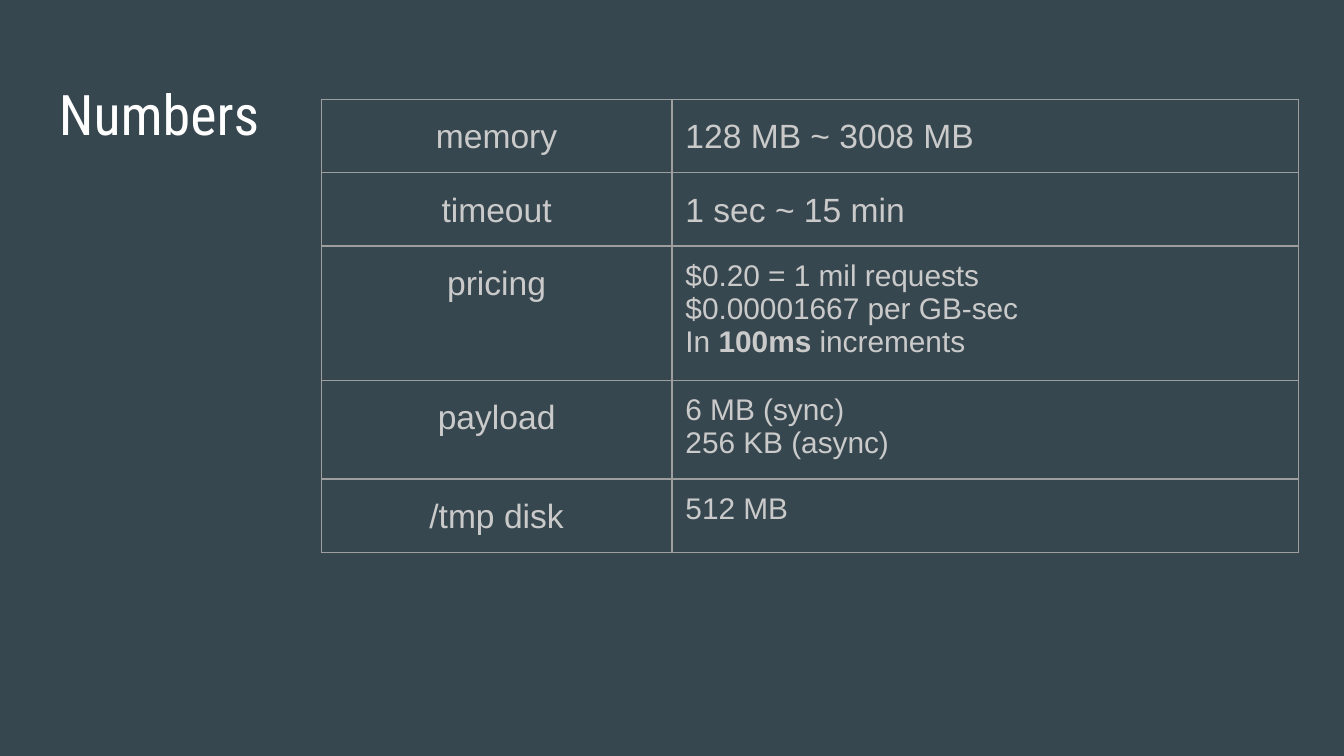
"""Builds a slide with a table of service limits and prices."""
import copy

import pptx
import pptx.dml.color
import pptx.enum.text
import pptx.oxml.ns
import pptx.util
from lxml import etree

Inches = pptx.util.Inches
Pt = pptx.util.Pt
RGBColor = pptx.dml.color.RGBColor
PP_ALIGN = pptx.enum.text.PP_ALIGN
qn = pptx.oxml.ns.qn

BACKGROUND = RGBColor(0x37, 0x47, 0x4F)
WHITE = RGBColor(0xFF, 0xFF, 0xFF)
TEXT = RGBColor(0xCA, 0xCA, 0xCA)
BORDER = RGBColor(0x9E, 0x9E, 0x9E)

COLUMN_WIDTHS = (2.61, 4.66)
ROW_HEIGHT = 0.42
LIMITS = [
    ("memory", "128 MB ~ 3008 MB", 18),
    ("timeout", "1 sec ~ 15 min", 18),
    ("pricing", "$0.20 = 1 mil requests\n$0.00001667 per GB-sec\n"
                "In *100ms* increments", 16),
    ("payload", "6 MB (sync)\n256 KB (async)", 16),
    ("/tmp disk", "512 MB", 16),
]


def write_text(tf, text, size=18, font="Arial", color=TEXT,
               align=PP_ALIGN.LEFT, spacing=None, after=0):
    """Fills a text frame; asterisks enclose bold words."""
    p = tf.paragraphs[0]
    p.alignment = align
    p.line_spacing = spacing
    p.space_after = Pt(after)
    for i, line in enumerate(text.split("\n")):
        if i:
            p.add_line_break()
            p._p.findall(qn("a:br"))[-1].append(copy.deepcopy(r._r.rPr))
        for j, part in enumerate(line.split("*")):
            r = p.add_run()
            r.text = part
            r.font.size = Pt(size)
            r.font.name = font
            r.font.color.rgb = color
            r.font.bold = j % 2 == 1


class SlideBuilder:
    """Holds the style and the current slide."""

    margin = Inches(0.1)
    border_width = Pt(0.75)

    def __init__(self, prs):
        self.s = prs.slides.add_slide(prs.slide_layouts[6])
        fill = self.s.background.fill
        fill.solid()
        fill.fore_color.rgb = BACKGROUND

    def set_margins(self, target):
        target.margin_left = target.margin_right = self.margin
        target.margin_top = target.margin_bottom = self.margin

    def add_title(self, text, left, top, width, height):
        sp = self.s.shapes.add_textbox(
            Inches(left), Inches(top), Inches(width), Inches(height))
        tf = sp.text_frame
        tf.word_wrap = True
        self.set_margins(tf)
        write_text(tf, text, size=30, font="Roboto Condensed", color=WHITE)

    def style_cell(self, cell):
        self.set_margins(cell)
        tc_pr = cell._tc.get_or_add_tcPr()
        for side in ("lnL", "lnR", "lnT", "lnB"):
            ln = etree.SubElement(tc_pr, qn(f"a:{side}"), w=str(self.border_width))
            fill = etree.SubElement(ln, qn("a:solidFill"))
            etree.SubElement(fill, qn("a:srgbClr"), val=str(BORDER))
        cell.fill.background()

    def add_limits_table(self, limits, left, top, height):
        frame = self.s.shapes.add_table(
            len(limits), len(COLUMN_WIDTHS), Inches(left), Inches(top),
            Inches(sum(COLUMN_WIDTHS)), Inches(height))
        table = frame.table
        table.first_row = table.horz_banding = False
        for column, width in zip(table.columns, COLUMN_WIDTHS):
            column.width = Inches(width)
        for row, (name, value, size) in zip(table.rows, limits):
            row.height = Inches(ROW_HEIGHT)
            name_cell, value_cell = row.cells
            self.style_cell(name_cell)
            self.style_cell(value_cell)
            write_text(name_cell.text_frame, name, align=PP_ALIGN.CENTER,
                       spacing=1.15, after=0 if name == "pricing" else 16)
            write_text(value_cell.text_frame, value, size=size,
                       spacing=1.15 if size == 18 else None, after=16)
        frame.height = Inches(height)


def main():
    prs = pptx.Presentation()
    prs.slide_width = Inches(10)
    prs.slide_height = prs.slide_width * 9 // 16
    builder = SlideBuilder(prs)
    builder.add_title("Numbers", 0.34, 0.49, 9.32, 0.63)
    builder.add_limits_table(LIMITS, 2.39, 0.74, 3.28)
    prs.save("out.pptx")


if __name__ == "__main__":
    main()
